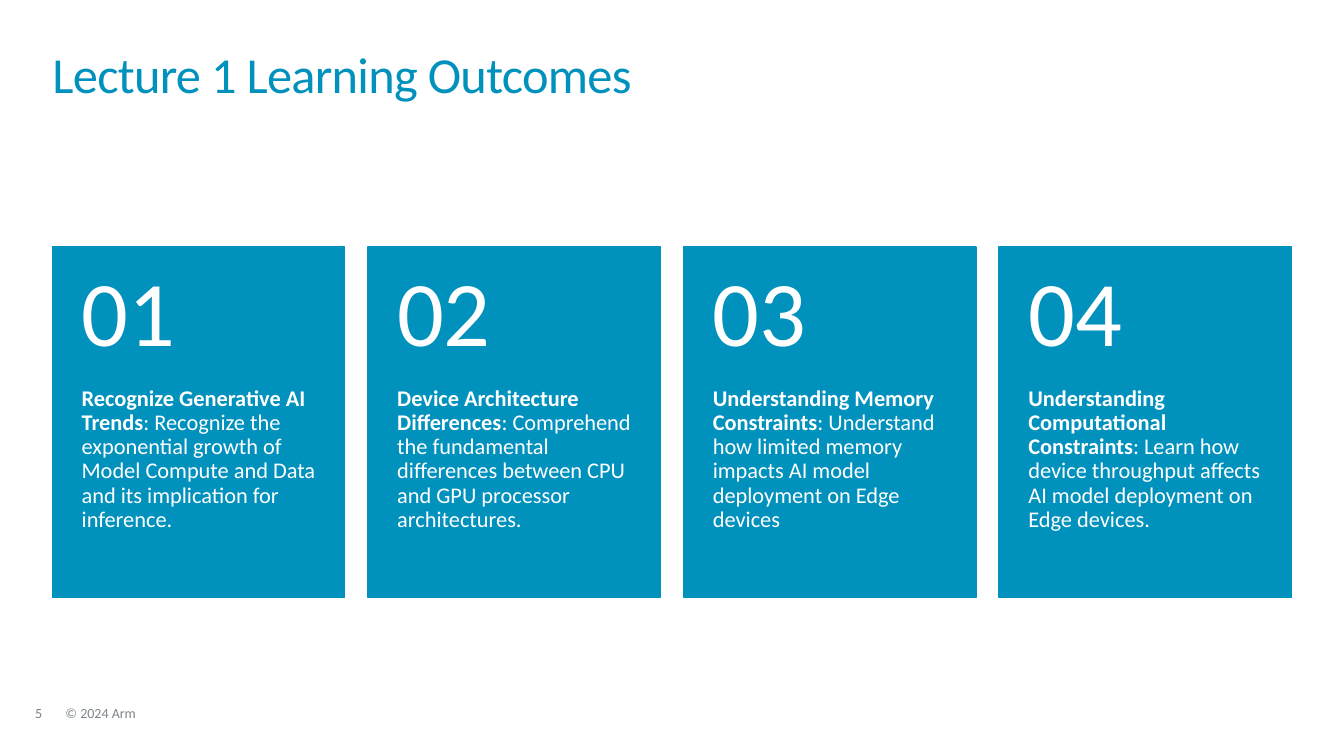
from pptx import Presentation
from pptx.dml.color import RGBColor as Rgb
from pptx.enum.shapes import MSO_SHAPE as Shape
from pptx.enum.text import MSO_ANCHOR as Anchor
from pptx.util import Inches, Pt

HUES = {"blue": "0091BD", "white": "FFFFFF", "page": "7F7F7F", "foot": "7D868C"}

GOALS = [
    ("Recognize Generative AI Trends",
     ": Recognize the exponential growth of Model Compute and Data and its implication for inference."),
    ("Device Architecture Differences",
     ": Comprehend the fundamental differences between CPU and GPU processor architectures."),
    ("Understanding Memory Constraints",
     ": Understand how limited memory impacts AI model deployment on Edge devices"),
    ("Understanding Computational Constraints",
     ": Learn how device throughput affects AI model deployment on Edge devices."),
]


class Deck:
    face = "Calibri"

    def __init__(self, wide, high):
        self.show = Presentation()
        self.show.slide_width = Inches(wide)
        self.show.slide_height = Inches(high)
        self.slide = self.show.slides.add_slide(self.show.slide_layouts[6])

    def hue(self, name):
        return Rgb.from_string(HUES[name])

    def rect(self, area, hue):
        box = self.slide.shapes.add_shape(Shape.RECTANGLE, *map(Inches, area))
        box.shadow.inherit = False
        box.fill.solid()
        box.fill.fore_color.rgb = self.hue(hue)
        box.line.color.rgb = self.hue(hue)
        box.line.width = Pt(1)

    def text(self, area, runs, size, hue, pad=(0, 0, 0, 0), lead=0.9,
             after=0, anchor=Anchor.TOP, track=None):
        frame = self.slide.shapes.add_textbox(*map(Inches, area)).text_frame
        frame.word_wrap = True
        frame.vertical_anchor = anchor
        (frame.margin_left, frame.margin_top,
         frame.margin_right, frame.margin_bottom) = map(Inches, pad)
        para = frame.paragraphs[0]
        para.line_spacing = lead
        para.space_after = Pt(after)
        for words, bold in runs:
            run = para.add_run()
            run.text = words
            font = run.font
            font.name, font.size, font.bold = self.face, Pt(size), bold
            font.color.rgb = self.hue(hue)
            if track is not None:
                run._r.get_or_add_rPr().set("spc", str(int(track * 100)))

    def card(self, left, top, wide, mark, head, body):
        high, split = 3.48, 1.39
        self.rect((left, top, wide, high), "blue")
        self.text((left, top + split, wide, high - split),
                  [(head, True), (body, False)], 16, "white",
                  pad=(0.29, 0, 0.29, 0.36))
        self.text((left, top, wide, split), [(mark, False)], 66, "white",
                  pad=(0.29, 0.18, 0.29, 0.18), anchor=Anchor.MIDDLE)

    def save(self):
        self.show.save("out.pptx")


def main():
    deck = Deck(13.33, 7.5)
    deck.text((0.35, 7.01, 0.34, 0.15), [("5", False)], 10, "page", after=6)
    deck.text((0.65, 7.01, 5.07, 0.15), [("© 2024 Arm", False)], 10, "foot", after=6)
    deck.text((0.52, 0.52, 12.28, 0.56), [("Lecture 1 Learning Outcomes", False)],
              36, "blue", lead=0.85, track=-0.5)
    wide, step = 2.9, 3.13
    for spot, (head, body) in enumerate(GOALS):
        deck.card(0.52 + spot * step, 2.45, wide, f"{spot + 1:02}", head, body)
    deck.save()


if __name__ == "__main__":
    main()
